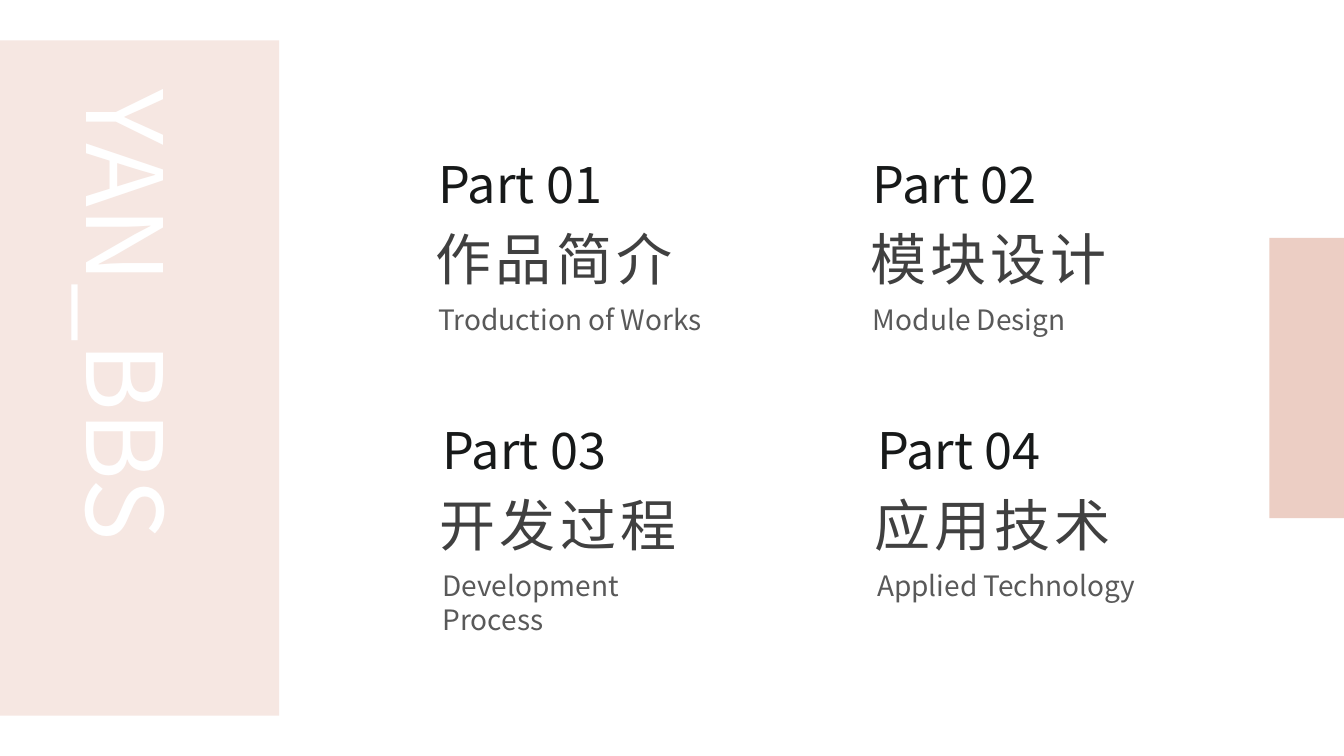
from dataclasses import dataclass

from pptx import Presentation
from pptx.dml.color import RGBColor
from pptx.enum.shapes import MSO_SHAPE
from pptx.enum.text import MSO_AUTO_SIZE, PP_ALIGN
from pptx.util import Inches, Pt

RECTANGLE = MSO_SHAPE.RECTANGLE
GROW = MSO_AUTO_SIZE.SHAPE_TO_FIT_TEXT
LEFT, CENTER = PP_ALIGN.LEFT, PP_ALIGN.CENTER


@dataclass(frozen=True)
class Theme:
    font: str = "Noto Sans CJK SC"
    panel: str = "F6E7E2"
    accent: str = "ECCEC4"
    banner: str = "FFFFFF"
    number: str = "171919"
    heading: str = "404040"
    caption: str = "595959"
    banner_size: int = 75
    number_size: int = 36
    heading_size: int = 40
    caption_size: int = 20
    heading_spacing: int = 3


THEME = Theme()
SLIDE_WIDTH, SLIDE_HEIGHT = 13.33, 7.5
GRID_LEFT, GRID_TOP = 4.25, 1.47
COLUMN_STEP, ROW_STEP, ROW_SHIFT = 4.31, 2.64, 0.04
PARTS = [
    ("作品简介", "Troduction of Works", 2.92),
    ("模块设计", "Module Design", 2.35),
    ("开发过程", "Development Process", 2.88),
    ("应用技术", "Applied Technology", 2.82),
]


def add_block(slide, box, color):
    shape = slide.shapes.add_shape(RECTANGLE, *map(Inches, box))
    shape.shadow.inherit = False
    shape.fill.solid()
    shape.fill.fore_color.rgb = RGBColor.from_string(color)
    shape.line.fill.background()


def add_text(slide, box, text, size, color, alignment=LEFT, spacing=0):
    shape = slide.shapes.add_textbox(*map(Inches, box))
    frame = shape.text_frame
    frame.word_wrap = True
    frame.auto_size = GROW
    paragraph = frame.paragraphs[0]
    paragraph.alignment = alignment
    run = paragraph.add_run()
    run.text = text
    run.font.size = Pt(size)
    run.font.name = THEME.font
    run.font.color.rgb = RGBColor.from_string(color)
    properties = run.font._element
    east_asian = properties.makeelement(
        properties.find("{*}latin").tag.replace("latin", "ea"), {"typeface": THEME.font}
    )
    properties.find("{*}latin").addnext(east_asian)
    if spacing:
        properties.set("spc", str(spacing * 100))
    return frame


def add_side_panel(slide, box):
    left, top, width, height = box
    add_block(slide, box, THEME.panel)
    banner_box = (left + 0.24, top + 0.39, 1.71, height - 1.8)
    frame = add_text(slide, banner_box, "YAN_BBS", THEME.banner_size, THEME.banner)
    frame.auto_size = MSO_AUTO_SIZE.NONE
    frame.margin_left = frame.margin_right = Inches(0.1)
    frame.margin_top = frame.margin_bottom = Inches(0.1)
    frame._txBody.bodyPr.set("vert", "vert")


def add_part(slide, left, top, number, heading, caption, caption_width):
    add_text(slide, (left, top, 2.12, 0.71), f"Part {number:02d}",
             THEME.number_size, THEME.number)
    add_text(slide, (left - 0.13, top + 0.71, 2.75, 0.77), heading,
             THEME.heading_size, THEME.heading, CENTER, THEME.heading_spacing)
    add_text(slide, (left, top + 1.48, caption_width, 0.44), caption,
             THEME.caption_size, THEME.caption)


def add_part_grid(slide, left, top):
    for index, part in enumerate(PARTS):
        row, column = divmod(index, 2)
        part_left = left + column * COLUMN_STEP + row * ROW_SHIFT
        add_part(slide, part_left, top + row * ROW_STEP, index + 1, *part)


def main():
    presentation = Presentation()
    presentation.slide_width = Inches(SLIDE_WIDTH)
    presentation.slide_height = Inches(SLIDE_HEIGHT)
    slide = presentation.slides.add_slide(presentation.slide_layouts[6])
    add_side_panel(slide, (0, 0.4, 2.77, 6.7))
    add_block(slide, (SLIDE_WIDTH - 0.74, 2.36, 0.74, 2.78), THEME.accent)
    add_part_grid(slide, GRID_LEFT, GRID_TOP)
    presentation.save("out.pptx")


if __name__ == "__main__":
    main()
